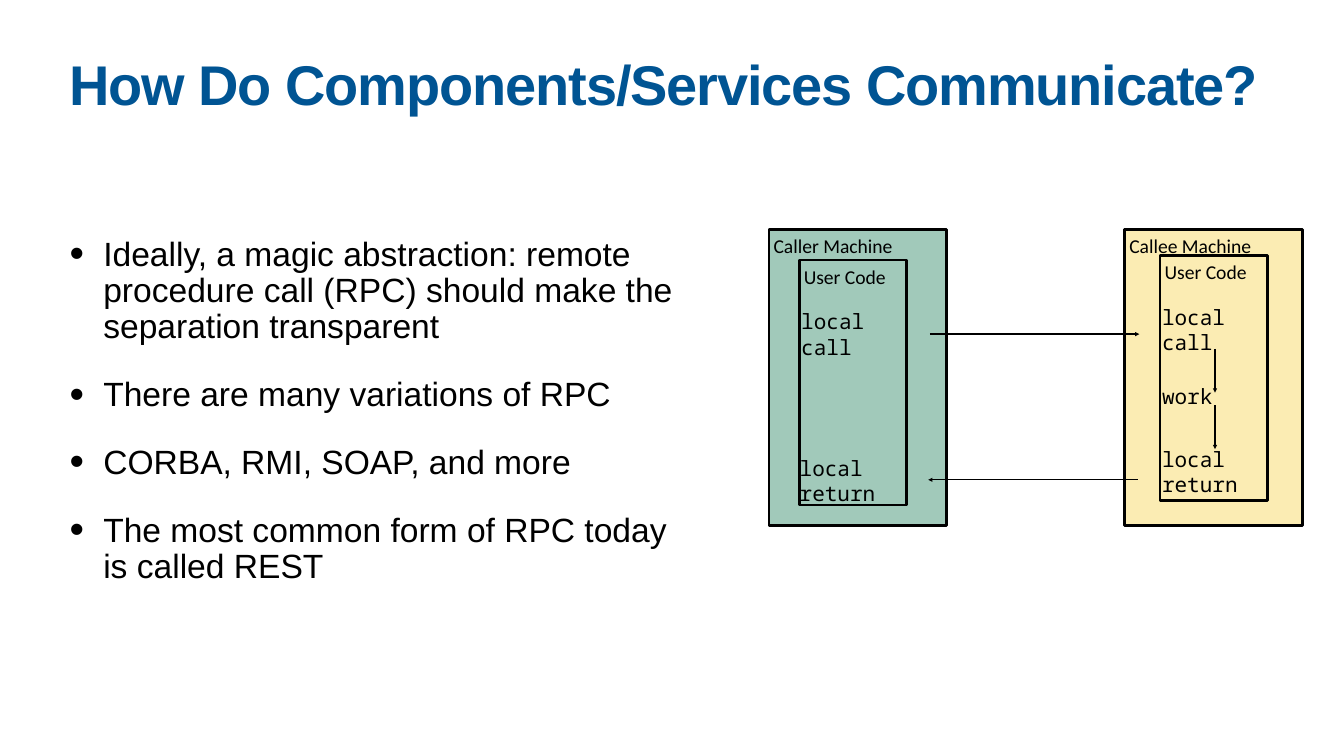
from lxml import etree
from pptx import Presentation
from pptx import util as u
from pptx.dml.color import RGBColor
from pptx.enum import shapes, text
from pptx.oxml.ns import qn

BLACK = "000000"
CODE_FONT = "Noto Sans Mono"
BULLET_INDENT = 0.67
MACHINE_TOP = 4.56
POINTS = [
    "Ideally, a magic abstraction: remote procedure call (RPC) should make the "
    "separation transparent",
    "There are many variations of RPC",
    "CORBA, RMI, SOAP, and more",
    "The most common form of RPC today is called REST",
]


def color(hex_code):
    return RGBColor.from_string(hex_code)


def inches(*lengths):
    return [u.Inches(length) for length in lengths]


def write(frame, lines, size, font="Arial", hue=BLACK, bold=False, spacing=1.0,
          gap=0, anchor=text.MSO_ANCHOR.TOP, tracking=None, bullet=None):
    """Fill a text frame with one paragraph per line."""
    frame.word_wrap = True
    frame.auto_size = text.MSO_AUTO_SIZE.NONE
    frame.vertical_anchor = anchor
    frame.margin_left = frame.margin_right = u.Inches(0.06)
    frame.margin_top = frame.margin_bottom = u.Inches(0.06)
    for index, line in enumerate(lines):
        paragraph = frame.add_paragraph() if index else frame.paragraphs[0]
        paragraph.alignment = text.PP_ALIGN.LEFT
        paragraph.line_spacing = spacing
        paragraph.space_before = u.Pt(gap if index else 0)
        if bullet:
            add_bullet(paragraph, bullet)
        run = paragraph.add_run()
        run.text = line
        run.font.size = u.Pt(size)
        run.font.name = font
        run.font.bold = bold
        run.font.color.rgb = color(hue)
        if tracking is not None:
            run.font._element.set("spc", str(round(tracking * 100)))


def add_bullet(paragraph, mark):
    properties = paragraph._p.get_or_add_pPr()
    indent = u.Inches(BULLET_INDENT)
    properties.set("marL", str(indent))
    properties.set("indent", str(-indent))
    etree.SubElement(properties, qn("a:buSzPct"), val="123000")
    etree.SubElement(properties, qn("a:buFont"), typeface="Arial")
    etree.SubElement(properties, qn("a:buChar"), char=mark)


def add_text(slide, box, lines, size, **style):
    write(slide.shapes.add_textbox(*inches(*box)).text_frame, lines, size, **style)


def add_labelled_box(slide, box, label, fill=None):
    """Outlined rectangle with its name along the top edge."""
    left, top, width, height = box
    frame = slide.shapes.add_shape(shapes.MSO_SHAPE.RECTANGLE, *inches(*box))
    frame.shadow.inherit = False
    if fill:
        frame.fill.solid()
        frame.fill.fore_color.rgb = color(fill)
    else:
        frame.fill.background()
    frame.line.color.rgb = color(BLACK)
    frame.line.width = u.Pt(4)
    add_text(slide, (left + 0.03, top + 0.03, width - 0.06, 0.59), [label], 28,
             font="Calibri")


def add_machine(slide, left, label, fill, code_left, code_top):
    add_labelled_box(slide, (left, MACHINE_TOP, 3.53, 5.87), label, fill)
    add_labelled_box(slide, (code_left, code_top, 2.13, 4.86), "User Code")


def add_step(slide, left, top, label, height=1.02):
    add_text(slide, (left, top, 2.23, height), [label], 30, font=CODE_FONT,
             anchor=text.MSO_ANCHOR.MIDDLE)


def add_arrow(slide, start, end):
    arrow = slide.shapes.add_connector(
        shapes.MSO_CONNECTOR.STRAIGHT, *inches(*start, *end))
    arrow.line.color.rgb = color(BLACK)
    arrow.line.width = u.Pt(2)
    etree.SubElement(arrow.line._get_or_add_ln(), qn("a:tailEnd"), type="triangle")
    etree.SubElement(arrow._element.spPr, qn("a:effectLst"))


def main():
    deck = Presentation()
    deck.slide_width, deck.slide_height = inches(26.67, 15)
    slide = deck.slides.add_slide(deck.slide_layouts[5])

    # Title
    title = slide.shapes.title
    title.left, title.top, title.width, title.height = inches(1.32, 1.18, 24.03, 1.57)
    write(title.text_frame, ["How Do Components/Services Communicate?"], 79.9,
          hue="005493", bold=True, spacing=0.8, tracking=-1.6)

    # Key points
    add_text(slide, (1.32, 4.65, 12.16, 9.03), POINTS, 48, spacing=0.9, gap=45,
             bullet="•")

    # Caller and callee machines
    add_machine(slide, 15.26, "Caller Machine", "A1C9BA", 15.86, 5.16)
    add_machine(slide, 22.32, "Callee Machine", "FBECB3", 23.02, 5.07)

    # Steps of the call
    add_step(slide, 15.84, 6.12, "local call")
    add_step(slide, 15.81, 9.02, "local return")
    add_step(slide, 23, 6.03, "local call")
    add_step(slide, 23, 7.6, "work", height=0.53)
    add_step(slide, 23, 8.84, "local return")

    # Flow inside the callee, then request and reply
    for top in (6.92, 8.04):
        add_arrow(slide, (24.11, top), (24.11, top + 0.87))
    add_arrow(slide, (18.45, 6.63), (22.61, 6.63))
    add_arrow(slide, (22.58, 9.52), (18.42, 9.52))

    deck.save("out.pptx")


if __name__ == "__main__":
    main()
